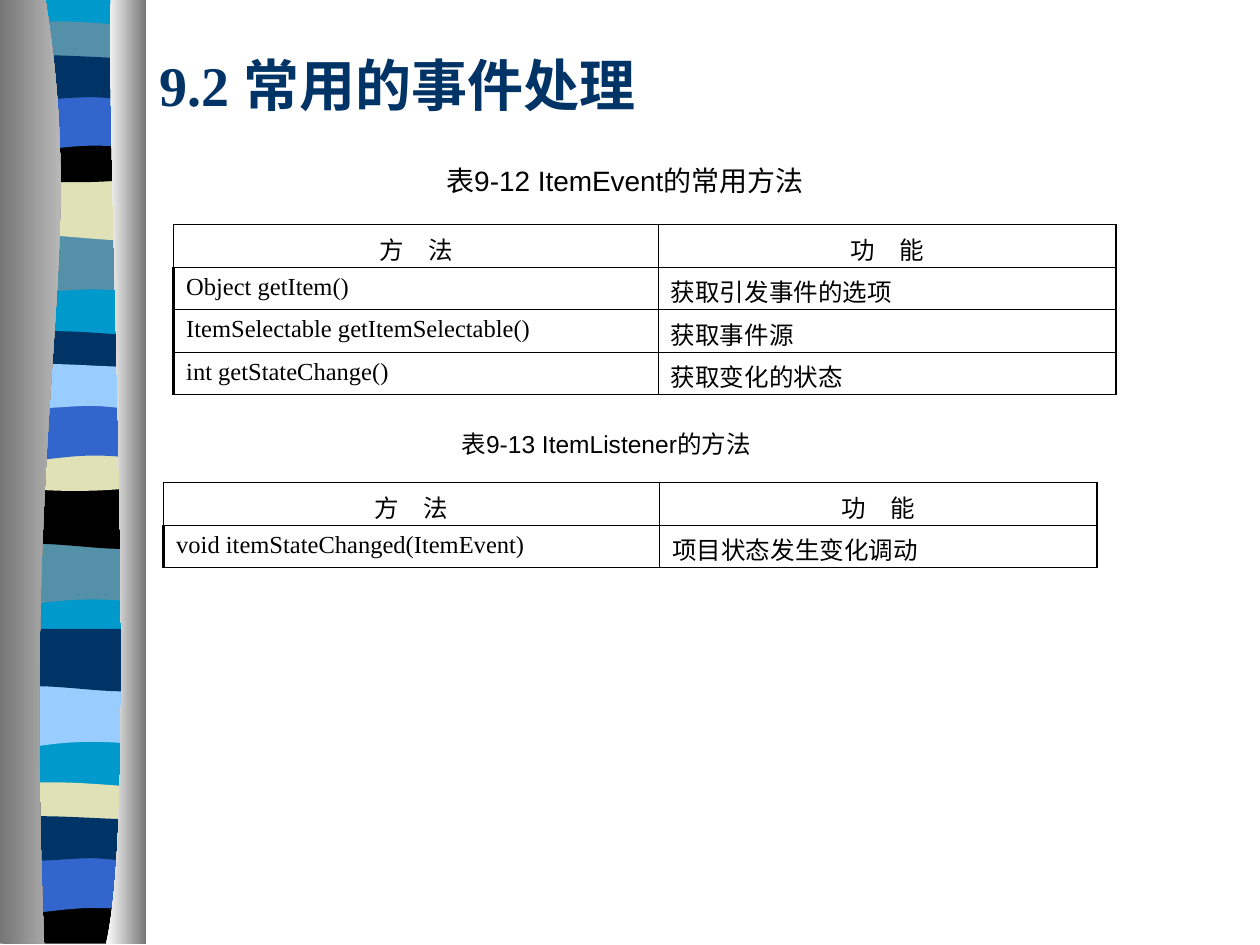
"""Build the slide on common event handling: a striped ribbon, a title and two captioned tables."""
from lxml import etree
from pptx import Presentation
from pptx.dml.color import RGBColor
from pptx.enum.text import MSO_ANCHOR, MSO_AUTO_SIZE, PP_ALIGN
from pptx.oxml.ns import qn
from pptx.util import Pt

CENTER, LEFT = PP_ALIGN.CENTER, PP_ALIGN.LEFT
MIDDLE, TOP = MSO_ANCHOR.MIDDLE, MSO_ANCHOR.TOP
GROW = MSO_AUTO_SIZE.SHAPE_TO_FIT_TEXT
COLORS = {
    "navy": "003366", "cyan": "0099CC", "teal": "5490A8", "blue": "3366CC",
    "sky": "99CCFF", "sand": "E1E1B7", "black": "000000",
    "dark": "767676", "light": "D8D8D8", "white": "FFFFFF",
}
SERIF, SANS = "Times New Roman", "Arial"
THIN, THICK = 0.45, 1.47
ROW_HEIGHT = 24.3

TITLE = "9.2 常用的事件处理"
HEADER = ("方　法", "功　能")
SECTIONS = [
    {"caption": "表9-12 ItemEvent的常用方法", "caption_box": (244, 90, 226, 26.6), "size": 16,
     "origin": (99.2, 128.2), "columns": (277, 261.5),
     "rows": [HEADER,
              ("Object getItem()", "获取引发事件的选项"),
              ("ItemSelectable getItemSelectable()", "获取事件源"),
              ("int getStateChange()", "获取变化的状态")]},
    {"caption": "表9-13 ItemListener的方法", "caption_box": (253.2, 241.4, 186.5, 24.2), "size": 14,
     "origin": (93.5, 275.7), "columns": (283.5, 250),
     "rows": [HEADER,
              ("void itemStateChanged(ItemEvent)", "项目状态发生变化调动")]},
]

# Each outline is a start point, then segments of one point (line) or three (curve).
RIBBON_LEFT = 4
BAND_OUTLINES = {
    "base": [(78, 0), [(78, 538.6)], [(0, 538.6)], [(0, 0)]],
    "dip": [(78, 0), [(78, 34)], [(24, 28), (13, 39.6), (0, 34)], [(0, 0)]],
    "drop": [(78, 0), [(78, 34)], [(65, 39.6), (24, 29.5), (0, 34)], [(0, 0)]],
    "crest": [(78, 3.6), [(78, 21)], [(65, 24), (13, 24), (0, 21)], [(0, 3.6)],
              [(4.3, 0), (16.5, 0.7), (29.5, 0.7)], [(42.5, 0.7), (67.7, 2.9), (78, 3.6)]],
    "bowl": [(78, 0), [(78, 23)], [(65, 27.4), (13, 27.4), (0, 23)], [(0, 0)],
             [(47.5, 3.6), (61, 0), (78, 0)]],
    "arch": [(78, 0), [(78, 34)], [(65.5, 30), (60.5, 30), (47.5, 30)],
             [(34.5, 30), (11.5, 34), (0, 34)], [(0, 0)]],
    "ripple": [(78, 3.6), [(78, 26)], [(73, 29.5), (60.5, 26), (47.5, 26)],
               [(34.5, 26), (8, 29.5), (0, 26)], [(0, 3.6)],
               [(11, 0), (52.5, 3.6), (65.5, 3.6)], [(78.5, 3.6), (75, 3.6), (78, 3.6)]],
    "floor": [(78, 0), [(78, 26.7)], [(0, 26.7)], [(0, 0)], [(47.5, 3.6), (61, 0), (78, 0)]],
}
BANDS = [
    ("base", "cyan", -0.7),
    ("dip", "teal", 133.2), ("drop", "sand", 101.5), ("crest", "teal", 11.5),
    ("bowl", "black", 77.8), ("arch", "blue", 53.3), ("ripple", "navy", 29.5),
    ("dip", "teal", 310.3), ("drop", "black", 277.9), ("crest", "navy", 188.6),
    ("bowl", "sand", 254.2), ("arch", "blue", 230.4), ("ripple", "sky", 205.9),
    ("dip", "sky", 391.7), ("drop", "navy", 359.3), ("crest", "sand", 446.4),
    ("floor", "black", 512.6), ("arch", "blue", 488.9), ("ripple", "navy", 464.4),
]
COVERS = [
    ([(25.9, -0.7), [(51, 155.5), (12.2, 213), (25.2, 539.3)], [(0, 539.3)], [(0, -0.7)]],
     ("dark", "light")),
    ([(63.4, -0.7), [(60.5, 90), (79.9, 465), (60.5, 539.3)], [(83.5, 539.3)], [(83.5, -0.7)]],
     ("white", "dark")),
]


def rgb(name):
    return RGBColor.from_string(COLORS[name])


def add_outline(slide, outline, left=0, top=0):
    start, *segments = outline
    points = [start] + [point for segment in segments for point in segment]
    corners = [(Pt(left + x), Pt(top + y)) for x, y in points]
    builder = slide.shapes.build_freeform(*corners[0], scale=1.0)
    builder.add_line_segments(corners[1:], close=True)
    shape = builder.convert_to_shape()
    steps = iter(list(shape._element.iter(qn("a:lnTo"))))
    for segment in segments:
        parts = [next(steps) for _ in segment]
        if len(parts) == 3:
            curve = etree.Element(qn("a:cubicBezTo"))
            parts[0].addprevious(curve)
            for part in parts:
                curve.append(part[0])
                part.getparent().remove(part)
    shape.shadow.inherit = False
    shape.line.fill.background()
    return shape


def add_ribbon(slide):
    for outline, color, top in BANDS:
        fill = add_outline(slide, BAND_OUTLINES[outline], RIBBON_LEFT, top).fill
        fill.solid()
        fill.fore_color.rgb = rgb(color)
    for outline, shades in COVERS:
        fill = add_outline(slide, outline).fill
        fill.gradient()
        fill.gradient_angle = 0
        for stop, shade in zip(fill.gradient_stops, shades):
            stop.color.rgb = rgb(shade)


def write(frame, text, font, size, color="black", bold=False, align=LEFT):
    frame.text = text
    paragraph = frame.paragraphs[0]
    paragraph.alignment = align
    style = paragraph.runs[0].font
    style.name, style.size, style.bold = font, Pt(size), bold
    style.color.rgb = rgb(color)


def add_border(cell, side, width):
    line = etree.SubElement(cell._tc.get_or_add_tcPr(), qn("a:ln" + side), w=str(Pt(width)))
    fill = etree.SubElement(line, qn("a:solidFill"))
    etree.SubElement(fill, qn("a:srgbClr"), val=COLORS["black"])


def add_section(slide, section):
    caption = slide.shapes.add_textbox(*map(Pt, section["caption_box"])).text_frame
    caption.word_wrap = False
    caption.auto_size = GROW
    caption.vertical_anchor = MIDDLE
    write(caption, section["caption"], SANS, section["size"], align=CENTER)

    rows, columns = section["rows"], section["columns"]
    size = (sum(columns), ROW_HEIGHT * len(rows))
    table = slide.shapes.add_table(len(rows), len(columns),
                                   *map(Pt, section["origin"] + size)).table
    table.first_row = table.horz_banding = False
    for column, width in zip(table.columns, columns):
        column.width = Pt(width)
    for r, texts in enumerate(rows):
        table.rows[r].height = Pt(ROW_HEIGHT)
        for c, text in enumerate(texts):
            cell = table.cell(r, c)
            cell.vertical_anchor = TOP
            write(cell.text_frame, text, SERIF, 14, align=LEFT if r else CENTER)
            add_border(cell, "L", THICK if r and c == 0 else THIN)
            add_border(cell, "R", THICK if c == len(columns) - 1 else THIN)
            add_border(cell, "T", THIN)
            add_border(cell, "B", THIN)
            cell.fill.background()


def main():
    deck = Presentation()
    deck.slide_width, deck.slide_height = Pt(720), Pt(540)
    slide = deck.slides.add_slide(deck.slide_layouts[5])
    add_ribbon(slide)
    title = slide.shapes.title
    title.left, title.top, title.width, title.height = map(Pt, (83.8, 24, 612, 48))
    title.text_frame.vertical_anchor = MIDDLE
    write(title.text_frame, TITLE, SERIF, 32, "navy", bold=True)
    for section in SECTIONS:
        add_section(slide, section)
    deck.save("out.pptx")


if __name__ == "__main__":
    main()
